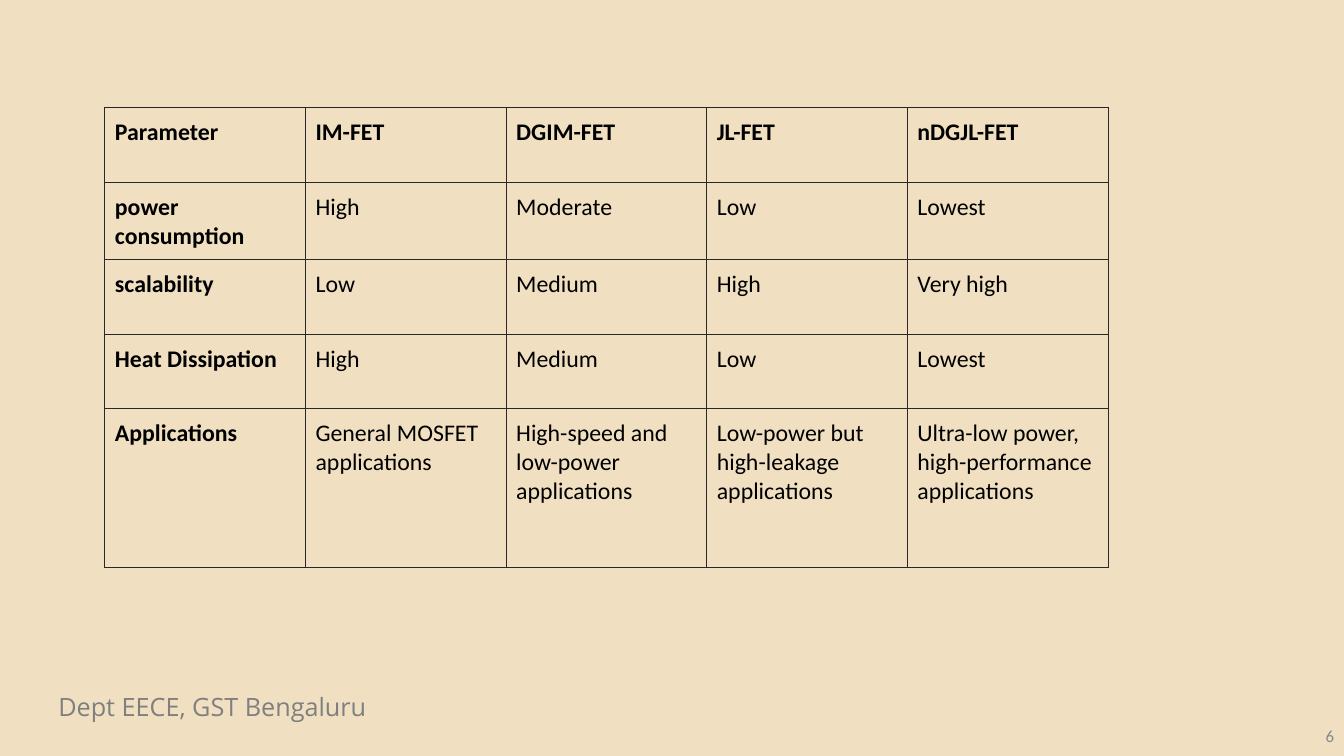
import pptx
import pptx.dml.color
import pptx.enum.text
import pptx.oxml.ns
import pptx.util
from lxml import etree
from pptx.dml.color import RGBColor
from pptx.util import Inches

SAND = RGBColor(0xF0, 0xE0, 0xC1)
BLACK = RGBColor(0x00, 0x00, 0x00)
BORDER = RGBColor(0x28, 0x28, 0x28)
FOOTER_GRAY = RGBColor(0x7F, 0x7F, 0x7F)
NUMBER_GRAY = RGBColor(0x88, 0x88, 0x88)

COMPARISON = [
    ["Parameter", "IM-FET", "DGIM-FET", "JL-FET", "nDGJL-FET"],
    ["power consumption", "High", "Moderate", "Low", "Lowest"],
    ["scalability", "Low", "Medium", "High", "Very high"],
    ["Heat Dissipation", "High", "Medium", "Low", "Lowest"],
    [
        "Applications",
        "General MOSFET applications",
        "High-speed and low-power applications",
        "Low-power but high-leakage applications",
        "Ultra-low power, high-performance applications",
    ],
]


class SlideBuilder:
    body_font = "Calibri"
    footer_font = "Open Sans"
    cell_size = 17
    cell_margin = Inches(0.1)
    border_width = pptx.util.Pt(0.75)

    def __init__(self, slide):
        self.slide = slide

    def background(self, color):
        fill = self.slide.background.fill
        fill.solid()
        fill.fore_color.rgb = color

    def run(self, paragraph, text, font_name, size, color, bold=False):
        run = paragraph.add_run()
        run.text = text
        run.font.name = font_name
        run.font.size = pptx.util.Pt(size)
        run.font.color.rgb = color
        run.font.bold = bold

    def text(self, left, top, width, height, text, font_name, size, color,
             alignment=pptx.enum.text.PP_ALIGN.LEFT,
             anchor=pptx.enum.text.MSO_ANCHOR.TOP):
        shape = self.slide.shapes.add_textbox(
            Inches(left), Inches(top), Inches(width), Inches(height))
        frame = shape.text_frame
        frame.word_wrap = True
        frame.vertical_anchor = anchor
        paragraph = frame.paragraphs[0]
        paragraph.alignment = alignment
        self.run(paragraph, text, font_name, size, color)

    def borders(self, cell):
        properties = cell._tc.get_or_add_tcPr()
        for side in ("a:lnL", "a:lnR", "a:lnT", "a:lnB"):
            line = etree.SubElement(
                properties, pptx.oxml.ns.qn(side), w=str(self.border_width))
            fill = etree.SubElement(line, pptx.oxml.ns.qn("a:solidFill"))
            etree.SubElement(
                fill, pptx.oxml.ns.qn("a:srgbClr"), val=str(BORDER))

    def cell(self, cell, text, bold):
        cell.margin_left = cell.margin_right = self.cell_margin
        cell.margin_top = cell.margin_bottom = self.cell_margin
        self.borders(cell)
        cell.fill.background()
        paragraph = cell.text_frame.paragraphs[0]
        self.run(paragraph, text, self.body_font, self.cell_size, BLACK, bold)

    def table(self, left, top, column_width, row_heights, rows):
        column_count = len(rows[0])
        table = self.slide.shapes.add_table(
            len(rows), column_count, Inches(left), Inches(top),
            Inches(column_width * column_count),
            Inches(sum(row_heights))).table
        table.first_row = False
        table.horz_banding = False
        for column in table.columns:
            column.width = Inches(column_width)
        for row_index, (height, values) in enumerate(zip(row_heights, rows)):
            table.rows[row_index].height = Inches(height)
            for column_index, value in enumerate(values):
                self.cell(table.cell(row_index, column_index), value,
                          bold=row_index == 0 or column_index == 0)


def main():
    presentation = pptx.Presentation()
    presentation.slide_width = Inches(13.33)
    presentation.slide_height = Inches(7.5)
    slide = presentation.slides.add_slide(presentation.slide_layouts[6])
    builder = SlideBuilder(slide)
    builder.background(SAND)
    builder.text(0.48, 6.81, 5.24, 0.4, "Dept EECE, GST Bengaluru",
                 builder.footer_font, 18, FOOTER_GRAY)
    builder.text(10.33, 7.1, 3, 0.4, "6", builder.body_font, 12, NUMBER_GRAY,
                 pptx.enum.text.PP_ALIGN.RIGHT,
                 pptx.enum.text.MSO_ANCHOR.MIDDLE)
    builder.table(1.04, 1.07, 1.99, [0.74] * 4 + [1.57], COMPARISON)
    presentation.save("out.pptx")


if __name__ == "__main__":
    main()
